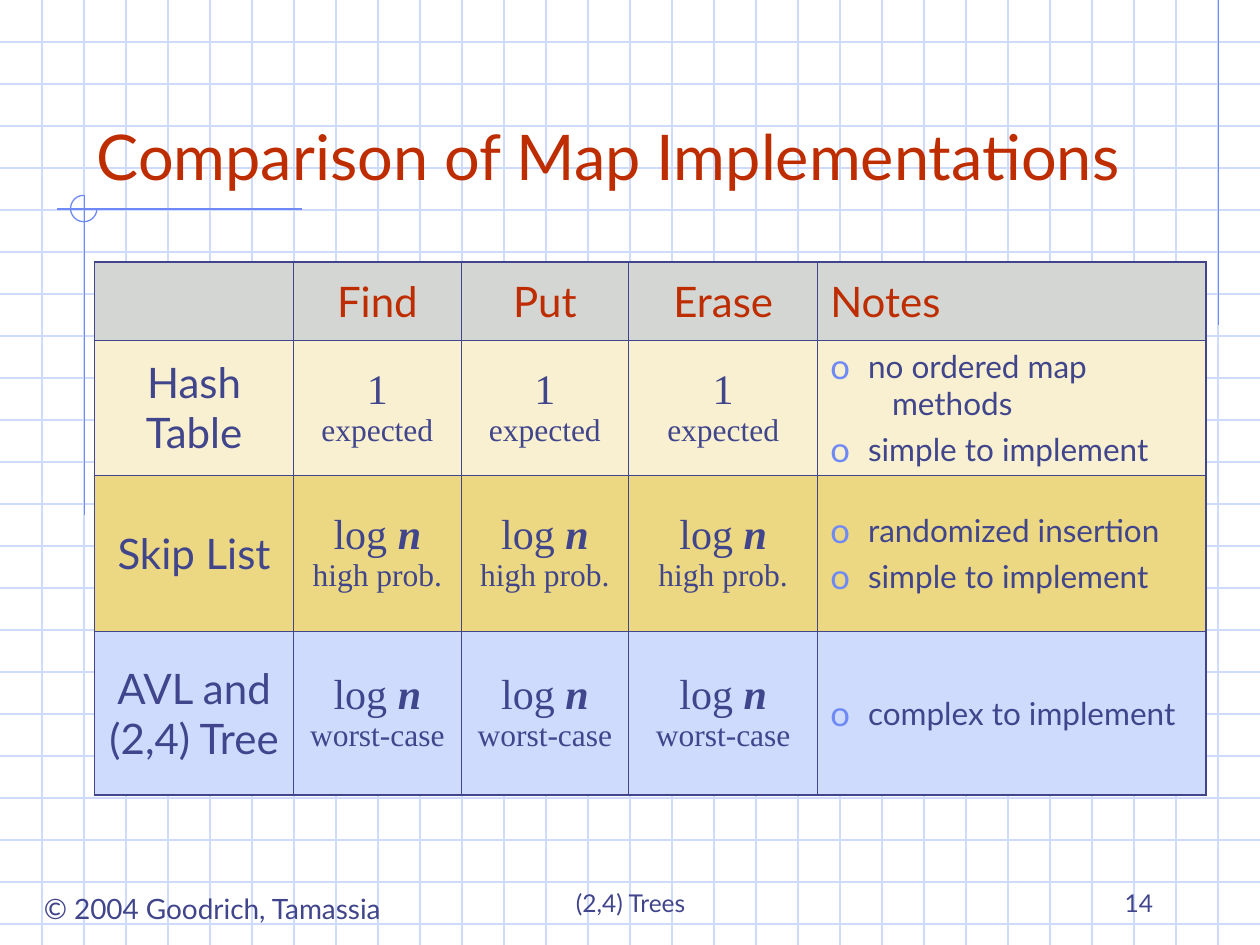
from lxml.etree import SubElement
from pptx import Presentation
from pptx.dml.color import RGBColor
from pptx.enum.shapes import MSO_CONNECTOR, MSO_SHAPE
from pptx.enum.text import MSO_ANCHOR, PP_ALIGN
from pptx.oxml.ns import qn
from pptx.util import Inches, Pt

COLORS = {
    "grid": "CFDBFD",
    "accent": "6F89F7",
    "ink": "40458C",
    "title": "BE2D00",
    "header": "D4D6D4",
    "hash": "F8F0D0",
    "skip": "ECD882",
    "tree": "CFDBFD",
}
SANS, SERIF = "Lato", "Times New Roman"
HEADINGS = ["", "Find", "Put", "Erase", "Notes"]
ROWS = [
    ("hash", "Hash Table", "1", "", "expected",
     ["no ordered map", "+methods", "simple to implement"]),
    ("skip", "Skip List", "log ", "n", "high prob.",
     ["randomized insertion", "simple to implement"]),
    ("tree", "AVL and (2,4) Tree", "log ", "n", "worst-case",
     ["complex to implement"]),
]


def rgb(name):
    return RGBColor.from_string(COLORS[name])


def style(r, size, color="ink", font=SANS, strong=False):
    r.font.size = Pt(size)
    r.font.name = font
    r.font.color.rgb = rgb(color)
    r.font.bold = r.font.italic = strong


def add_line(s, x1, y1, x2, y2, color):
    line = s.shapes.add_connector(
        MSO_CONNECTOR.STRAIGHT, Inches(x1), Inches(y1), Inches(x2), Inches(y2))
    line.line.color.rgb = rgb(color)
    line.line.width = Pt(0.75)
    SubElement(line._element.spPr, qn("a:effectLst"))


def add_backdrop(s, width, height):
    for i in range(1, 23):
        add_line(s, 0, i / 3, width, i / 3, "grid")
    for i in range(1, 30):
        add_line(s, i / 3, 0, i / 3, height, "grid")
    add_line(s, 9.67, 0, 9.67, 2.58, "accent")
    add_line(s, 2.4, 1.66, 0.45, 1.66, "accent")
    add_line(s, 0.67, 1.55, 0.67, 4.09, "accent")
    arc = s.shapes.add_shape(
        MSO_SHAPE.ARC, Inches(0.56), Inches(1.55), Inches(0.21), Inches(0.21))
    arc.adjustments[0] = 0
    arc.adjustments[1] = 162
    arc.shadow.inherit = False
    arc.fill.background()
    arc.line.color.rgb = rgb("accent")
    arc.line.width = Pt(0.75)


def add_text(s, box, text, size, color="ink", align=PP_ALIGN.LEFT,
             anchor=MSO_ANCHOR.BOTTOM, wrap=True):
    tf = s.shapes.add_textbox(*map(Inches, box)).text_frame
    tf.word_wrap = wrap
    tf.vertical_anchor = anchor
    tf.text = text
    p = tf.paragraphs[0]
    p.alignment = align
    style(p.runs[0], size, color)


def set_borders(cell, outer):
    tcPr = cell._tc.get_or_add_tcPr()
    for side in "LRTB":
        width = 1.08 if side in outer else 0.45
        ln = SubElement(tcPr, qn(f"a:ln{side}"), w=str(Pt(width)))
        fill = SubElement(ln, qn("a:solidFill"))
        SubElement(fill, qn("a:srgbClr"), val=COLORS["ink"])


def fill_label(cell, text, color="ink", align=PP_ALIGN.CENTER):
    cell.text = text
    p = cell.text_frame.paragraphs[0]
    p.alignment = align
    for r in p.runs:
        style(r, 24, color)


def fill_cost(cell, base, variable, qualifier):
    p = cell.text_frame.paragraphs[0]
    p.alignment = PP_ALIGN.CENTER
    p.text = f"{base}\v{qualifier}"
    first, last = p.runs
    style(first, 24, font=SERIF)
    style(last, 18, font=SERIF)
    if variable:
        r = p.add_run()
        r.text = variable
        style(r, 24, font=SERIF, strong=True)
        first._r.addnext(r._r)


def fill_notes(cell, notes):
    tf = cell.text_frame
    tf.text = "\n".join(note.lstrip("+") for note in notes)
    for i, (p, note) in enumerate(zip(tf.paragraphs, notes)):
        pPr = p._p.get_or_add_pPr()
        if note.startswith("+"):
            pPr.set("marL", str(Inches(0.49)))
        else:
            pPr.set("marL", str(Inches(0.3)))
            pPr.set("indent", str(-Inches(0.3)))
            color = SubElement(pPr, qn("a:buClr"))
            SubElement(color, qn("a:srgbClr"), val=COLORS["accent"])
            SubElement(pPr, qn("a:buSzPct"), val="110000")
            SubElement(pPr, qn("a:buFont"), typeface=SANS)
            SubElement(pPr, qn("a:buChar"), char="o")
            if i:
                p.space_before = Pt(4.5)
        style(p.runs[0], 18)


def add_comparison(s, box):
    widths = [1.58, 1.33, 1.33, 1.5, 3.08]
    heights = [0.62, 1.07, 1.24, 1.3]
    table = s.shapes.add_table(
        len(heights), len(widths), *map(Inches, box)).table
    table.first_row = table.horz_banding = False
    for column, width in zip(table.columns, widths):
        column.width = Inches(width)
    for row, height in zip(table.rows, heights):
        row.height = Inches(height)
    fills = ["header"] + [row[0] for row in ROWS]
    for i, fill in enumerate(fills):
        for j in range(len(widths)):
            cell = table.cell(i, j)
            edges = {"T": i == 0, "B": i == len(heights) - 1,
                     "L": j == 0, "R": j == len(widths) - 1}
            set_borders(cell, [side for side, on in edges.items() if on])
            cell.fill.solid()
            cell.fill.fore_color.rgb = rgb(fill)
            cell.vertical_anchor = MSO_ANCHOR.MIDDLE
    for j, heading in enumerate(HEADINGS):
        align = PP_ALIGN.LEFT if heading == "Notes" else PP_ALIGN.CENTER
        fill_label(table.cell(0, j), heading, "title", align)
    for i, (_, label, base, variable, qualifier, notes) in enumerate(ROWS, 1):
        fill_label(table.cell(i, 0), label)
        for j in range(1, 4):
            fill_cost(table.cell(i, j), base, variable, qualifier)
        fill_notes(table.cell(i, 4), notes)


def add_footer(s):
    add_text(s, (0.16, 7.03, 3.05, 0.37), "© 2004 Goodrich, Tamassia", 16,
             align=PP_ALIGN.CENTER, anchor=MSO_ANCHOR.TOP, wrap=False)
    add_text(s, (3.42, 6.83, 3.17, 0.5), "(2,4) Trees", 14,
             align=PP_ALIGN.CENTER)
    add_text(s, (7.17, 6.83, 2.08, 0.5), "14", 14, align=PP_ALIGN.RIGHT)


def main():
    prs = Presentation()
    prs.slide_width, prs.slide_height = Inches(10), Inches(7.5)
    s = prs.slides.add_slide(prs.slide_layouts[6])
    add_backdrop(s, 10, 7.5)
    add_footer(s)
    add_text(s, (0.67, 0.33, 8.5, 1.25),
             "Comparison of Map Implementations", 36, "title")
    add_comparison(s, (0.75, 2.08, 8.83, 4.23))
    prs.save("out.pptx")


if __name__ == "__main__":
    main()
